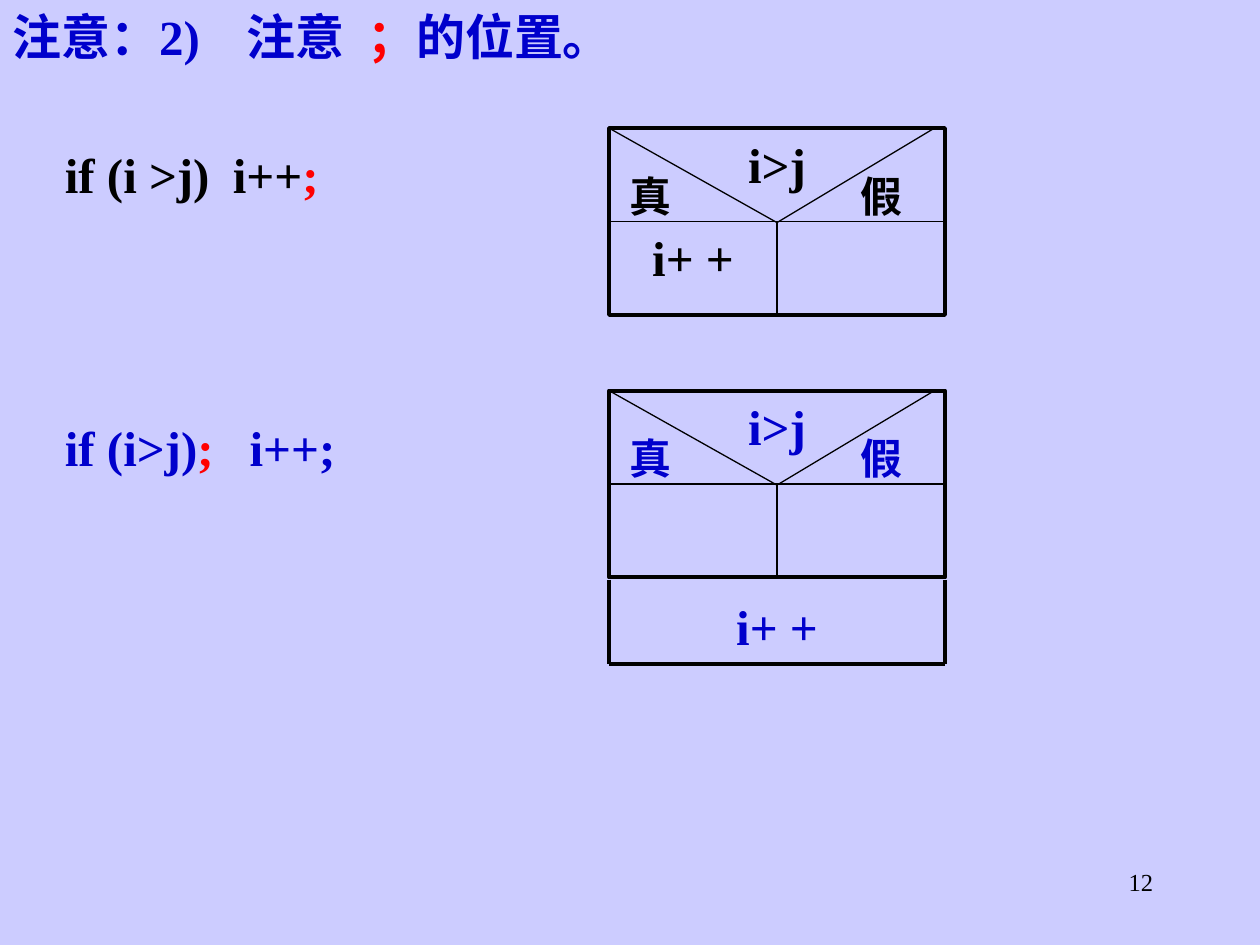
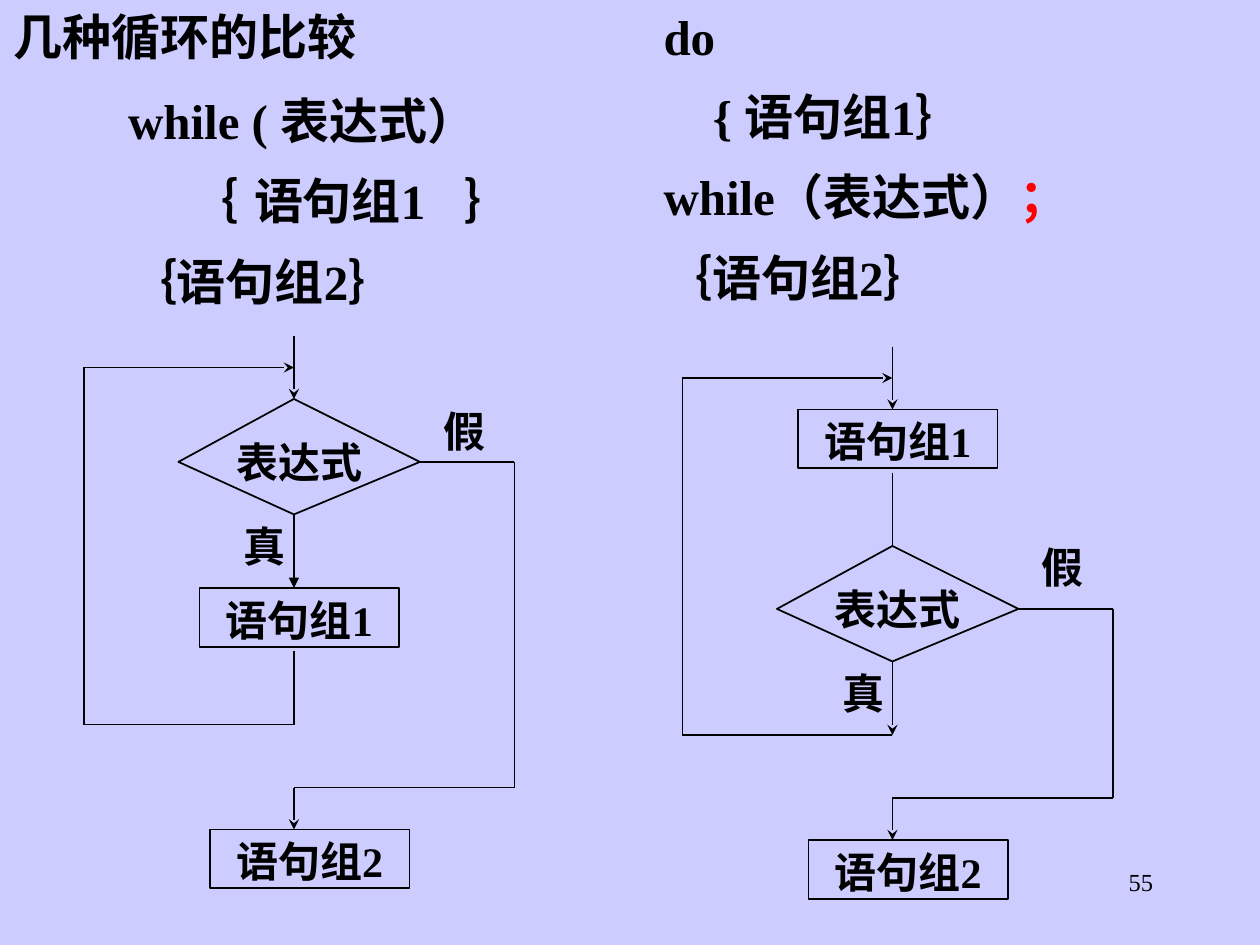
from itertools import pairwise

from lxml import etree
from pptx import Presentation
from pptx.dml.color import RGBColor
from pptx.enum.shapes import MSO_CONNECTOR, MSO_SHAPE
from pptx.enum.text import MSO_ANCHOR, PP_ALIGN
from pptx.oxml.ns import qn
from pptx.util import Pt

LEFT, MID, RIGHT = PP_ALIGN.LEFT, PP_ALIGN.CENTER, PP_ALIGN.RIGHT
TOP = MSO_ANCHOR.TOP
RECT = MSO_SHAPE.RECTANGLE
LINE = MSO_CONNECTOR.STRAIGHT
PX = 7620
COLORS = {"back": "CCCCFF", "ink": "000000", "blue": "0000CC", "red": "FF0000"}
FONT = "Times New Roman"
WIDE, TIGHT, NONE = (12, 6), (2, 1), (0, 0)


def tint(name):
    """Look up a named colour."""
    return RGBColor.from_string(COLORS[name])


class Pen:
    """Draws styled elements on the current slide."""

    def __init__(self):
        self.deck = Presentation()
        self.deck.slide_width, self.deck.slide_height = 1200 * PX, 900 * PX
        fill = self.deck.slide_master.background.fill
        fill.solid()
        fill.fore_color.rgb = tint("back")

    def page(self, number):
        self.shapes = self.deck.slides.add_slide(self.deck.slide_layouts[6]).shapes
        self.text((860, 820, 250, 60), [(str(number), "ink", ())], RIGHT, 14, bold=False)

    def stroke(self, item, width):
        item.line.color.rgb = tint("ink")
        item.line.width = Pt(width)

    def text(self, area, paras, align=LEFT, size=28, pad=WIDE, bold=True, lead=None, gap=0):
        box = self.shapes.add_textbox(*(n * PX for n in area))
        self.put(box.text_frame, paras, align, size, pad, bold, lead, gap)

    def put(self, frame, paras, align, size, pad, bold=True, lead=None, gap=0):
        side, edge = (n * PX for n in pad)
        look = {"word_wrap": True, "vertical_anchor": TOP, "margin_left": side,
                "margin_right": side, "margin_top": edge, "margin_bottom": edge}
        for key, value in look.items():
            setattr(frame, key, value)
        for index, (words, color, tabs) in enumerate(paras):
            para = frame.add_paragraph() if index else frame.paragraphs[0]
            if tabs:
                stops = etree.SubElement(para._p.get_or_add_pPr(), qn("a:tabLst"))
                for stop in tabs:
                    etree.SubElement(stops, qn("a:tab"), pos=str(stop * PX), algn="l")
            para.alignment = align
            if lead:
                para.line_spacing = lead
            if index:
                para.space_before = Pt(gap)
            for part, piece in enumerate(words.split("|")):
                if not piece:
                    continue
                run = para.add_run()
                run.text = piece
                for key, value in {"name": FONT, "size": Pt(size), "bold": bold}.items():
                    setattr(run.font, key, value)
                run.font.color.rgb = tint("red" if part % 2 else color)

    def label(self, area, words, color="ink", align=MID, size=24, pad=TIGHT, lead=1.1):
        self.text(area, [(words, color, ())], align, size, pad, lead=lead)

    def rect(self, area, width=1, words=None):
        box = self.shapes.add_shape(RECT, *(n * PX for n in area))
        box.shadow.inherit = False
        box.fill.background()
        self.stroke(box, width)
        if words:
            self.put(box.text_frame, [(words, "ink", ())], MID, 24, TIGHT, lead=1.1)
        return box

    def kite(self, points):
        form = self.shapes.build_freeform(*points[0], scale=PX)
        form.add_line_segments(points[1:], close=True)
        shape = form.convert_to_shape()
        shape.shadow.inherit = False
        shape.fill.background()
        self.stroke(shape, 1)

    def line(self, start, end, width=1, tip=None):
        link = self.shapes.add_connector(LINE, *(n * PX for n in (*start, *end)))
        self.stroke(link, width)
        props = link._element.spPr
        if tip:
            etree.SubElement(props.find(qn("a:ln")), qn("a:tailEnd"), type=tip)
        etree.SubElement(props, qn("a:effectLst"))
        return link

    def trace(self, points, width=1, tip=None):
        pairs = list(pairwise(points))
        for index, (start, end) in enumerate(pairs, 1):
            self.line(start, end, width, tip if index == len(pairs) else None)


def branch(pen, top, color):
    """Draw a two-way decision box."""
    half, base = top + 89, top + 178
    frame = pen.rect((580, top, 320, 178), 2.25)
    pen.label((580, top, 320, 89), "i>j", color, size=28, pad=WIDE, lead=None)
    across = pen.line((580, half), (900, half))
    across.begin_connect(frame, 1)
    across.end_connect(frame, 3)
    pen.line((740, half), (740, base)).end_connect(frame, 2)
    pen.trace([(580, top), (740, half + 1), (890, top)], 0.75)
    for left, words in ((590, "真"), (810, "假")):
        pen.label((left, top + 40, 60, 48), words, color, pad=NONE, lead=None)


def flow(pen, mid, top, test, body):
    """Draw a loop flowchart whose test comes before or after its body."""
    first = test < body
    low, side, out = top + 370, mid - 200, mid + 210
    turn = top + 430
    pen.kite([(mid, test), (mid + 120, test + 60), (mid, test + 110), (mid - 110, test + 60)])
    pen.label((mid - 70, test + 30, 150, 55), "表达式")
    pen.label((mid - 50, test + 110, 60, 55), "真", align=LEFT)
    pen.label((mid + 140, test if first else test - 10, 100, 55), "假", align=LEFT)
    pen.rect((mid - 90, body, 190, 56), words="语句组1")
    pen.rect((mid - 80, top + 470, 190, 56), words="语句组2")
    pen.line((mid, top), (mid, top + 60), tip="stealth")
    pen.line((mid, test + 110), (mid, test + 180), tip="triangle" if first else "stealth")
    pen.line((mid, body + 60), (mid, low if first else test))
    pen.trace([(mid, low), (side, low), (side, top + 30), (mid, top + 30)], tip="stealth")
    pen.trace([(mid + 120, test + 60), (out, test + 60), (out, turn), (mid, turn),
               (mid, top + 470)], tip="stealth")


def main():
    """Build both slides."""
    pen = Pen()
    pen.page(12)
    pen.text((0, 0, 1172, 68), [("注意：2)\t注意\t|；|的位置。", "blue", (223, 338))])
    pen.text((50, 132, 380, 324), [("if (i >j)\ti++|;", "ink", (160,)),
                                   ("if (i>j)|;|\ti++;", "blue", (176,))], gap=122)
    branch(pen, 122, "ink")
    pen.label((580, 211, 160, 88), "i+ +", size=28, pad=WIDE, lead=None)
    branch(pen, 372, "blue")
    pen.trace([(580, 552), (580, 632), (900, 632), (900, 552)], 2.25)
    pen.label((640, 562, 200, 68), "i+ +", "blue", size=28, pad=WIDE, lead=None)

    pen.page(55)
    pen.text((1, 0, 400, 68), [("几种循环的比较", "ink", ())])
    pen.text((120, 80, 414, 217), [("while ( 表达式）", "ink", ()),
                                   ("\t｛\t语句组1\t｝", "ink", (58, 120, 320)),
                                   ("｛语句组2｝", "ink", ())], pad=TIGHT, lead=1.1, gap=8.8)
    pen.text((630, 0, 420, 293), [("do", "ink", ()), ("\t{ 语句组1｝", "ink", (47,)),
                                  ("while（表达式）|；", "ink", ()),
                                  ("｛语句组2｝", "ink", ())], pad=TIGHT, lead=1.1, gap=8.8)
    flow(pen, 280, 320, 380, 560)
    flow(pen, 850, 330, 520, 390)
    pen.deck.save("out.pptx")


if __name__ == "__main__":
    main()
